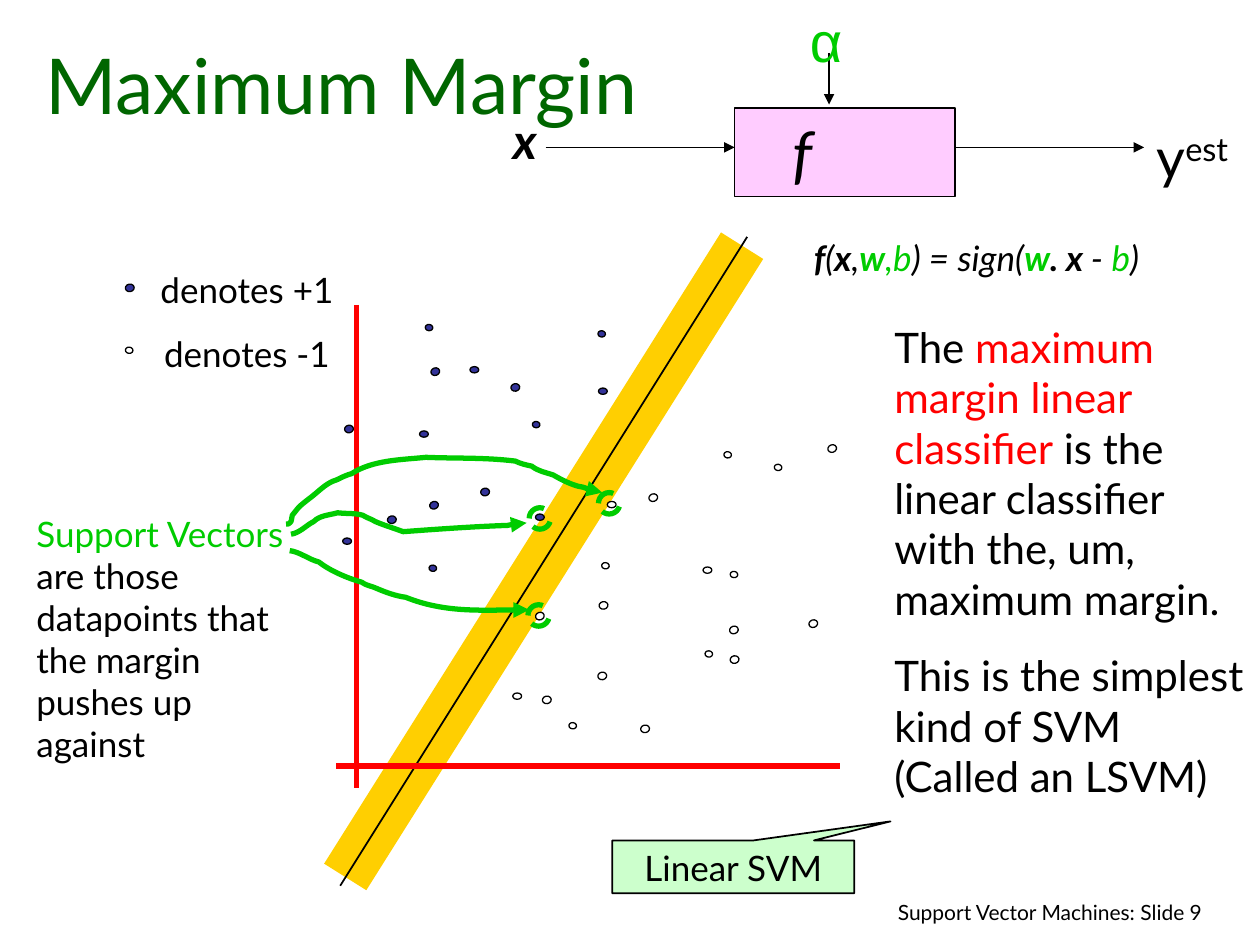
"""Build the Maximum Margin slide about linear support vector machines."""
from lxml import etree
from pptx import Presentation, util as u
from pptx.dml.color import RGBColor
from pptx.enum import dml, shapes, text
from pptx.oxml.ns import qn

PX = 9144
BLACK = RGBColor(0, 0, 0)
WHITE = RGBColor(255, 255, 255)
GREEN = RGBColor(0, 204, 0)
DARK = RGBColor(0, 102, 0)
RED = RGBColor(255, 0, 0)
GOLD = RGBColor(255, 207, 1)
NAVY = RGBColor(51, 51, 153)
PINK = RGBColor(255, 204, 255)
MINT = RGBColor(204, 255, 204)
LEFT, MID, RIGHT = text.PP_ALIGN.LEFT, text.PP_ALIGN.CENTER, text.PP_ALIGN.RIGHT
FORM = shapes.MSO_SHAPE

TITLE = [[("Maximum Margin", DARK, "")]]
BOX = [[("f", BLACK, "i")]]
CALL = [[("Linear SVM", BLACK, "")]]
TEXTS = [
    ((572, 709, 392, 33), RIGHT, 12, 7.5,
     [[("Support Vector Machines: Slide 9", BLACK, "")]]),
    ((383, 83, 67, 57), MID, 28, 17.5, [[("x", BLACK, "bi")]]),
    ((633, 0, 42, 64), MID, 32, 20, [[("α", GREEN, "a")]]),
    ((908, 92, 92, 64), LEFT, 32, 8, [[("y", BLACK, ""), ("est", BLACK, "^")]]),
    ((92, 208, 208, 94), MID, 20, 12.5,
     [[("denotes +1", BLACK, "")], [("denotes -1", BLACK, "")]]),
    ((600, 183, 350, 44), MID, 20, 12.5,
     [[("f", BLACK, "bi"), ("(", BLACK, "i"), ("x", BLACK, "bi"), (",", BLACK, "i"),
       ("w", GREEN, "bi"), (",b", GREEN, "i"), (") = sign(", BLACK, "i"),
       ("w", GREEN, "bi"), (". x ", BLACK, "bi"), ("- ", BLACK, "i"),
       ("b", GREEN, "i"), (")", BLACK, "i")]]),
    ((700, 250, 300, 471), LEFT, 24, 15,
     [[("The ", BLACK, ""), ("maximum margin linear classifier", RED, ""),
       (" is the linear classifier with the, um, maximum margin.", BLACK, "")],
      [("This is the simplest kind of SVM (Called an LSVM)", BLACK, "")]]),
    ((19, 402, 232, 210), LEFT, 20, 12.5,
     [[("Support Vectors ", GREEN, ""),
       ("are those datapoints that the margin pushes up against", BLACK, "")]]),
]
LINES = [
    ((274, 696, 589, 195), GOLD, 28.5, False),
    ((270, 703, 593, 188), BLACK, 1, False),
    ((433, 117, 583, 117), BLACK, 1, True),
    ((658, 42, 658, 83), BLACK, 1, True),
    ((758, 117, 908, 117), BLACK, 1, True),
    ((283, 242, 283, 625), RED, 3, False),
    ((267, 608, 667, 608), RED, 3, False),
]
DOTS = [
    (NAVY, 0, (7, 5), [(272, 427), (475, 308), (373, 291), (425, 408), (333, 342)]),
    (WHITE, 0, (7, 5), [(407, 550), (482, 398), (558, 450)]),
    (NAVY, 341.4, (7, 6), [(342, 292), (341, 398)]),
    (WHITE, 341.4, (7, 6),
     [(425, 486), (657, 353), (579, 497), (515, 392), (642, 492)]),
    (NAVY, 98.2, (5, 6), [(423, 334), (341, 448), (475, 262), (338, 257)]),
    (WHITE, 98.2, (5, 6), [(452, 573), (580, 453), (478, 446), (615, 368),
                           (575, 358), (560, 516), (100, 275)]),
    (NAVY, 79.6, (6, 7), [(382, 387), (308, 409), (406, 304), (274, 337), (100, 225)]),
    (WHITE, 79.6, (6, 7),
     [(509, 575), (475, 533), (476, 477), (431, 552), (580, 520)]),
]
CURVES = [
    [(231, 424), (238, 423), (243, 417), (249, 414), (254, 409), (261, 409), (268, 407),
     (277, 408), (281, 407), (288, 409), (291, 411), (295, 412), (298, 414),
     (305, 417), (312, 419), (320, 422), (347, 420), (375, 418), (403, 417),
     (408, 416), (413, 415), (418, 415)],
    [(227, 416), (228, 416), (230, 416), (230, 415), (232, 414), (231, 411), (232, 409),
     (233, 407), (235, 406), (236, 404), (238, 401), (248, 394), (249, 393),
     (255, 388), (260, 383), (267, 381), (271, 379), (275, 377), (279, 376),
     (296, 365), (319, 365), (338, 363), (362, 364), (385, 363), (409, 366),
     (413, 368), (417, 369), (422, 370), (427, 374), (433, 375), (439, 377),
     (446, 381), (452, 384), (459, 386), (465, 387), (472, 391), (478, 391)],
    [(230, 437), (238, 438), (245, 444), (253, 446), (262, 453), (276, 459), (287, 462),
     (291, 465), (295, 465), (299, 467), (306, 470), (314, 473), (322, 474),
     (352, 486), (388, 484), (420, 484)],
]
RINGS = [(475, 391), (420, 403), (419, 480)]


def write(frame, paras, size, gap, align):
    frame.word_wrap = True
    frame.auto_size = text.MSO_AUTO_SIZE.NONE
    for i, runs in enumerate(paras):
        para = frame.add_paragraph() if i else frame.paragraphs[0]
        para.alignment, para.space_before = align, u.Pt(gap)
        for words, color, style in runs:
            run = para.add_run()
            run.text = words
            font = run.font
            font.name = "Arial" if "a" in style else "Lato"
            font.size, font.color.rgb = u.Pt(size), color
            font.bold, font.italic = "b" in style, "i" in style
            if "^" in style:
                run._r.get_or_add_rPr().set("baseline", "30000")


def stroke(item, color, width, arrow=False):
    item.line.color.rgb, item.line.width = color, u.Pt(width)
    if arrow:
        etree.SubElement(item.line._get_or_add_ln(), qn("a:tailEnd"), type="triangle")


def draw(pool, kind, box, fill, color, width):
    item = pool.add_shape(kind, *[v * PX for v in box])
    item.shadow.inherit = False
    if fill is None:
        item.fill.background()
    else:
        item.fill.solid()
        item.fill.fore_color.rgb = fill
    stroke(item, color, width)
    return item


def bend(pool, points):
    form = pool.build_freeform(*points[0], scale=PX)
    form.add_line_segments(points[1:], close=False)
    item = form.convert_to_shape()
    item.shadow.inherit = False
    item.fill.background()
    stroke(item, GREEN, 3, True)
    legs = list(item._element.iter(qn("a:lnTo")))
    for i in range(0, len(legs), 3):
        cubic = etree.Element(qn("a:cubicBezTo"))
        legs[i].addprevious(cubic)
        for leg in legs[i:i + 3]:
            cubic.append(leg[0])
            leg.getparent().remove(leg)


def main():
    deck = Presentation()
    deck.slide_width, deck.slide_height = 1000 * PX, 750 * PX
    slide = deck.slides.add_slide(deck.slide_layouts[5])
    pool = slide.shapes
    head = pool.title
    head.left, head.top, head.width, head.height = [v * PX for v in (17, 33, 508, 75)]
    write(head.text_frame, TITLE, 44, 0, MID)
    head.text_frame.vertical_anchor = text.MSO_ANCHOR.BOTTOM

    for ends, color, width, arrow in LINES:
        line = pool.add_connector(shapes.MSO_CONNECTOR.STRAIGHT, *[v * PX for v in ends])
        stroke(line, color, width, arrow)
        etree.SubElement(line._element.spPr, qn("a:effectLst"))
    box = draw(pool, FORM.RECTANGLE, (583, 86, 175, 70), PINK, BLACK, 1)
    write(box.text_frame, BOX, 36, 12.5, MID)
    box.text_frame.margin_right = 77 * PX
    for place, align, size, gap, paras in TEXTS:
        area = pool.add_textbox(*[v * PX for v in place])
        write(area.text_frame, paras, size, gap, align)

    for fill, turn, size, spots in DOTS:
        for spot in spots:
            draw(pool, FORM.OVAL, spot + size, fill, BLACK, 0.75).rotation = turn
    for points in CURVES:
        bend(pool, points)
    for spot in RINGS:
        ring = draw(pool, FORM.OVAL, spot + (17, 17), None, GREEN, 3)
        ring.line.dash_style = dml.MSO_LINE.DASH
    call = draw(pool, FORM.RECTANGULAR_CALLOUT, (486, 667, 192, 42), MINT, BLACK, 1)
    call.adjustments[0], call.adjustments[1] = 0.65, -0.86
    write(call.text_frame, CALL, 20, 12.5, MID)
    call.text_frame.vertical_anchor = text.MSO_ANCHOR.TOP
    deck.save("out.pptx")


if __name__ == "__main__":
    main()
